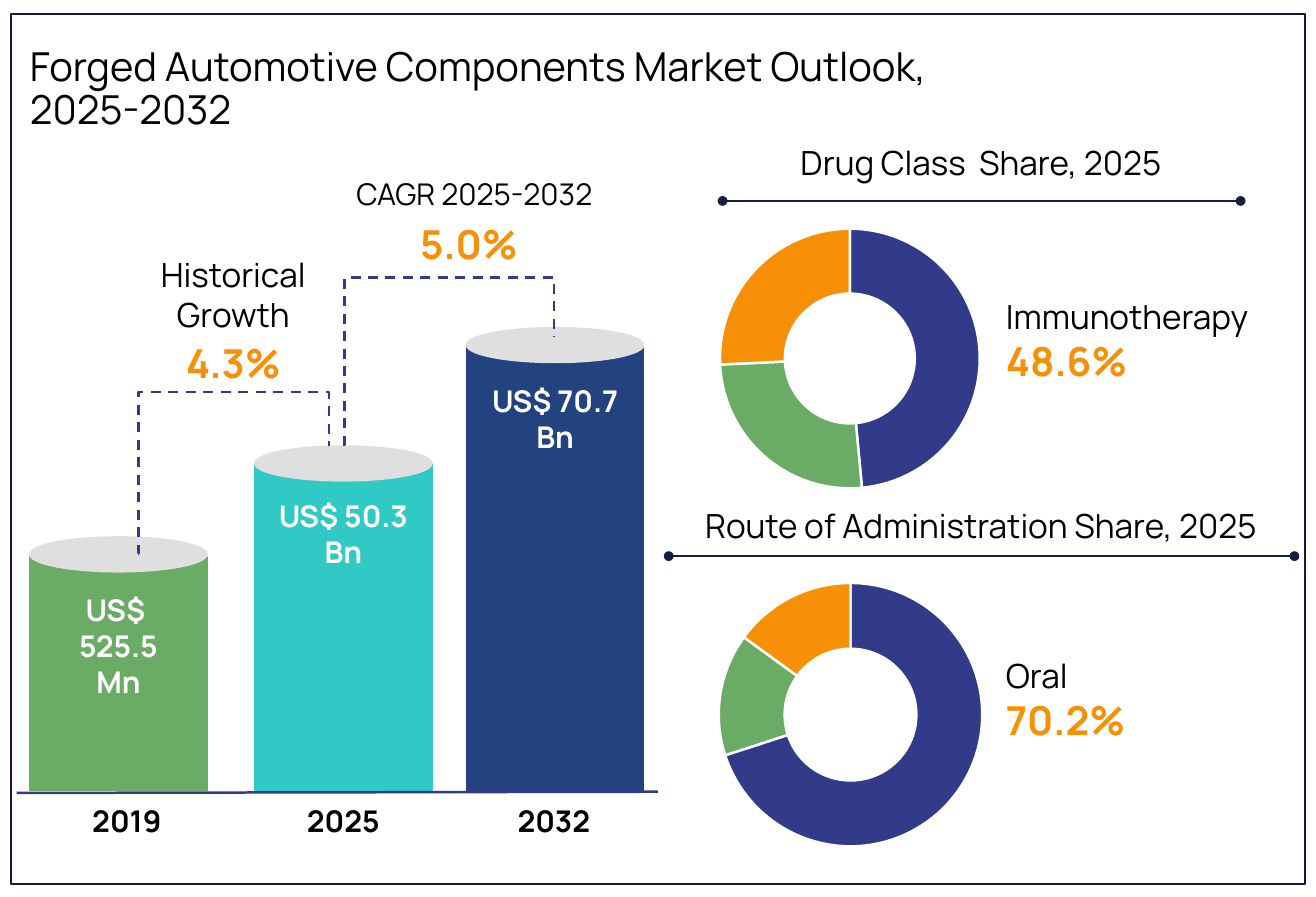
"""Build a market outlook slide with cylinder bars and two share doughnuts."""
from lxml import etree
from pptx import Presentation
from pptx.chart.data import CategoryChartData
from pptx.dml.color import RGBColor
from pptx.enum import chart as charts, dml, shapes, text
from pptx.oxml import ns
from pptx.util import Emu, Pt

PX = 9144
FONT = "Manrope"
BLACK = RGBColor(0, 0, 0)
WHITE = RGBColor(255, 255, 255)
INDIGO = RGBColor(0x31, 0x3B, 0x89)
GREEN = RGBColor(0x6A, 0xAB, 0x65)
ORANGE = RGBColor(0xF7, 0x90, 0x07)
TEAL = RGBColor(0x31, 0xC9, 0xC5)
NAVY = RGBColor(0x22, 0x42, 0x80)
GREY = RGBColor(0xDF, 0xDF, 0xDF)
RULE = RGBColor(0x18, 0x1D, 0x44)
FRAME = RGBColor(0x15, 0x1A, 0x3C)

BAR_WIDTH, BAR_BOTTOM, CAP_HEIGHT = 148, 661, 29
BARS = [
    dict(year="2019", year_left=54, value="US$ \v525.5\vMn", value_box=(490, 101),
         left=25, top=466, cap_top=449, fill=GREEN, line=GREEN),
    dict(year="2025", year_left=235, value="US$ 50.3 Bn", value_box=(411, 71),
         left=213, top=388, cap_top=373, fill=TEAL, line=TEAL),
    dict(year="2032", year_left=411, value="US$ 70.7 Bn", value_box=(315, 71),
         left=390, top=289, cap_top=274, fill=NAVY, line=INDIGO),
]
GROWTH = [
    dict(name="Historical Growth", name_box=(109, 208, 172, 77), size=20,
         rate="4.3% ", rate_box=(120, 278, 157, 50),
         start=(115, 463), end=(275, 373), peak=328),
    dict(name="CAGR 2025-2032", name_box=(267, 142, 259, 40), size=18,
         rate="5.0%", rate_box=(318, 179, 148, 50),
         start=(287, 372), end=(463, 282), peak=232),
]
SHARES = [
    dict(title="Drug Class  Share, 2025", title_top=112, rule=(604, 1037, 168),
         values=(49, 26, 26), top=173, height=248, plot=(0.082, 0.073, 0.416, 0.877),
         leader="Immunotherapy", share="48.6%", label_box=(831, 243, 250, 84)),
    dict(title="Route of Administration Share, 2025", title_top=415, rule=(559, 1082, 465),
         values=(70, 15, 15), top=477, height=236, plot=(0.08, 0.044, 0.422, 0.934),
         leader="Oral", share="70.2%", label_box=(831, 543, 188, 84)),
]
SLICES = (INDIGO, GREEN, ORANGE)
EMPTY_SLICES = (0,) * 7
SHARE_LEFT, SHARE_WIDTH = 559, 522


def px(*lengths):
    return [Emu(length * PX) for length in lengths]


def write(shape, lines, align=text.PP_ALIGN.CENTER, anchor=text.MSO_ANCHOR.TOP,
          spacing=None, insets=(10, 5, 10, 5)):
    frame = shape.text_frame
    frame.word_wrap = True
    frame.vertical_anchor = anchor
    (frame.margin_left, frame.margin_top,
     frame.margin_right, frame.margin_bottom) = px(*insets)
    for index, (words, size, color, bold) in enumerate(lines):
        paragraph = frame.paragraphs[0] if index == 0 else frame.add_paragraph()
        paragraph.text = words
        paragraph.alignment = align
        paragraph.line_spacing = spacing
        font = paragraph.font
        font.name, font.size, font.bold = FONT, Pt(size), bold
        font.color.rgb = color


def add_text(slide, box, lines, **layout):
    write(slide.shapes.add_textbox(*px(*box)), lines, **layout)


def add_block(slide, kind, box, fill, line):
    block = slide.shapes.add_shape(kind, *px(*box))
    block.shadow.inherit = False
    if fill is None:
        block.fill.background()
    else:
        block.fill.solid()
        block.fill.fore_color.rgb = fill
    if line is None:
        block.line.fill.background()
    else:
        block.line.color.rgb = line
        block.line.width = Pt(1)
    return block


def add_line(slide, start, end, color, weight, kind=shapes.MSO_CONNECTOR.STRAIGHT):
    line = slide.shapes.add_connector(kind, *px(*start, *end))
    line.line.color.rgb = color
    line.line.width = Pt(weight)
    etree.SubElement(line._element.spPr, ns.qn("a:effectLst"))
    return line


def add_bracket(slide, start, end, peak):
    bracket = add_line(slide, start, end, INDIGO, 1.5, shapes.MSO_CONNECTOR.ELBOW)
    bracket.line.dash_style = dml.MSO_LINE.DASH
    geometry = bracket._element.spPr.find(ns.qn("a:prstGeom"))
    geometry.set("prst", "bentConnector4")
    guides = geometry.find(ns.qn("a:avLst"))
    rise = round((start[1] - peak) / (start[1] - end[1]) * 100000)
    for name, value in (("adj1", 500), ("adj2", rise)):
        etree.SubElement(guides, ns.qn("a:gd"), name=name, fmla=f"val {value}")


def add_dotted_rule(slide, left, right, y):
    rule = add_line(slide, (left, y), (right, y), RULE, 1)
    outline = rule.line._get_or_add_ln()
    for end in ("a:headEnd", "a:tailEnd"):
        etree.SubElement(outline, ns.qn(end), type="oval")


def add_doughnut(slide, box, values, plot_box):
    data = CategoryChartData()
    data.categories = ["1", "2", "3"]
    data.add_series("Series 1", values + EMPTY_SLICES)
    chart = slide.shapes.add_chart(charts.XL_CHART_TYPE.DOUGHNUT, *px(*box), data).chart
    chart.has_legend = chart.has_title = False
    chart.font.name, chart.font.size = "Calibri", Pt(10)
    chart.font.color.rgb = BLACK
    plot = chart.plots[0]
    plot.vary_by_categories = True
    for index, color in enumerate(SLICES):
        look = plot.series[0].points[index].format
        look.fill.solid()
        look.fill.fore_color.rgb = color
        look.line.color.rgb = WHITE
        look.line.width = Pt(1.5)
    area = chart._chartSpace.chart.plotArea
    area.find(".//" + ns.qn("c:holeSize")).set("val", "50")
    for old in area.findall(ns.qn("c:layout")):
        area.remove(old)
    layout = etree.Element(ns.qn("c:layout"))
    area.insert(0, layout)
    manual = etree.SubElement(layout, ns.qn("c:manualLayout"))
    settings = [("layoutTarget", "inner"), ("xMode", "edge"), ("yMode", "edge"),
                *zip("xywh", plot_box)]
    for tag, value in settings:
        etree.SubElement(manual, ns.qn(f"c:{tag}"), val=str(value))


def main():
    deck = Presentation()
    deck.slide_width, deck.slide_height = px(1100, 750)
    slide = deck.slides.add_slide(deck.slide_layouts[6])

    add_text(slide, (25, 41, 924, 80),
             [("Forged Automotive Components Market Outlook,\v2025-2032", 24, BLACK, False)],
             align=text.PP_ALIGN.LEFT, anchor=text.MSO_ANCHOR.BOTTOM, spacing=0.9,
             insets=(0, 10, 10, 10))

    for share in SHARES:
        add_doughnut(slide, (SHARE_LEFT, share["top"], SHARE_WIDTH, share["height"]),
                     share["values"], share["plot"])
        heading = add_block(slide, shapes.MSO_SHAPE.RECTANGLE,
                            (SHARE_LEFT, share["title_top"], SHARE_WIDTH, 51), WHITE, None)
        write(heading, [(share["title"], 20, BLACK, False)],
              anchor=text.MSO_ANCHOR.BOTTOM, spacing=0.9, insets=(10, 10, 10, 10))
        add_text(slide, share["label_box"],
                 [(share["leader"], 20, BLACK, False), (share["share"], 24, ORANGE, True)],
                 align=text.PP_ALIGN.LEFT)
        add_dotted_rule(slide, *share["rule"])

    for bar in BARS:
        left, top = bar["left"], bar["top"]
        add_block(slide, shapes.MSO_SHAPE.FLOWCHART_PROCESS,
                  (left, top, BAR_WIDTH, BAR_BOTTOM - top), bar["fill"], bar["line"])
        add_block(slide, shapes.MSO_SHAPE.OVAL,
                  (left, bar["cap_top"], BAR_WIDTH, CAP_HEIGHT), GREY, GREY)
        value_top, value_height = bar["value_box"]
        add_text(slide, (left, value_top, BAR_WIDTH, value_height),
                 [(bar["value"], 18, WHITE, True)])
        add_text(slide, (bar["year_left"], 666, 104, 40), [(bar["year"], 18, BLACK, True)])
    add_line(slide, (14, 663), (550, 662), INDIGO, 1.5)

    for growth in GROWTH:
        add_bracket(slide, growth["start"], growth["end"], growth["peak"])
        add_text(slide, growth["rate_box"], [(growth["rate"], 24, ORANGE, True)])
        add_text(slide, growth["name_box"], [(growth["name"], growth["size"], BLACK, False)])

    add_block(slide, shapes.MSO_SHAPE.RECTANGLE, (9, 12, 1082, 727), None, FRAME)
    deck.save("out.pptx")


if __name__ == "__main__":
    main()
